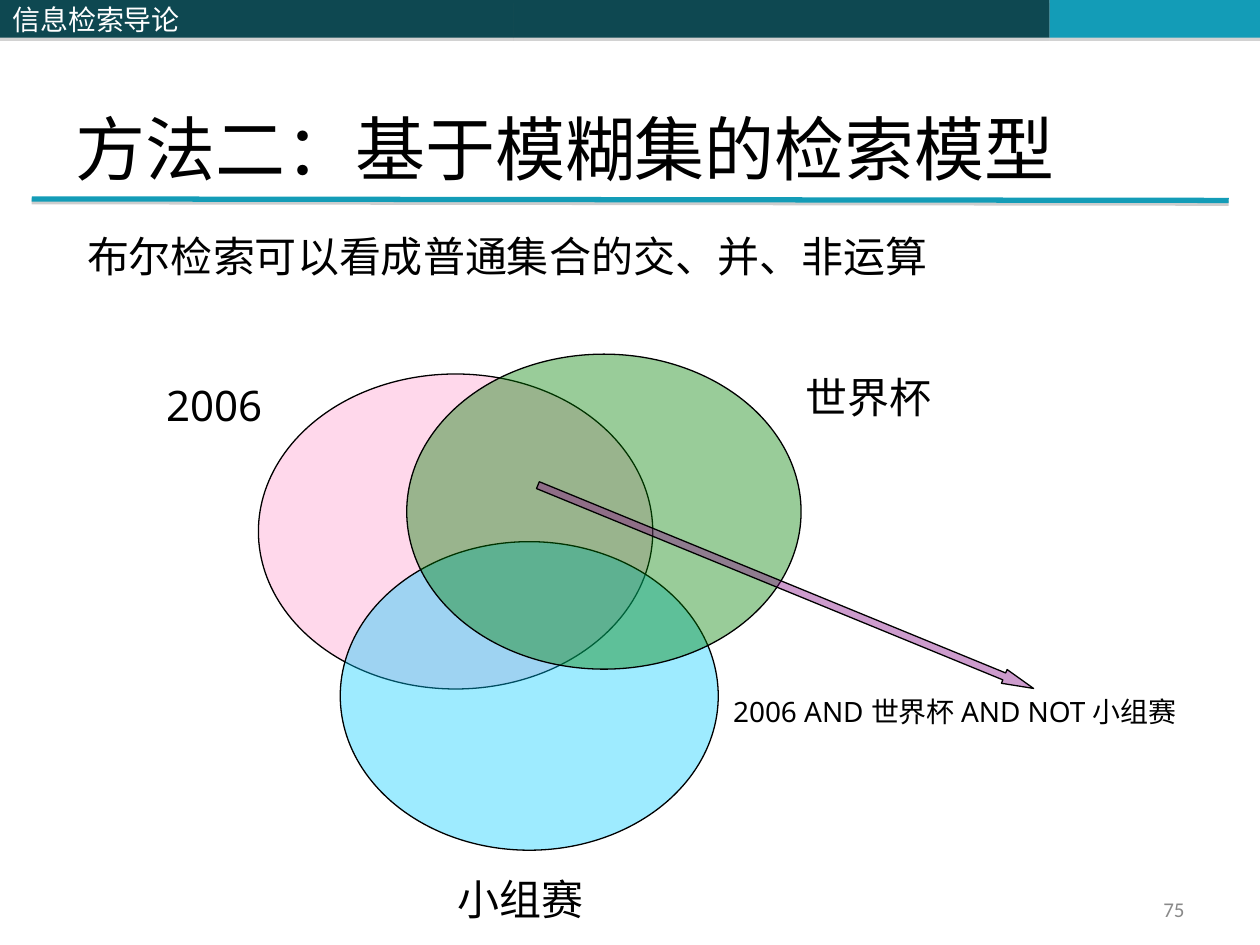
from dataclasses import dataclass

from lxml.etree import SubElement
from pptx import Presentation
from pptx.dml.color import RGBColor
from pptx.enum.shapes import MSO_CONNECTOR as Connector, MSO_SHAPE as Shape
from pptx.enum.text import MSO_ANCHOR as Anchor, MSO_AUTO_SIZE as AutoSize, PP_ALIGN as Align
from pptx.oxml.ns import qn
from pptx.util import Cm, Pt


@dataclass(frozen=True)
class Theme:
    dark: str = "0E4851"
    accent: str = "139CB7"
    shadow: str = "808080"
    ink: str = "000000"
    paper: str = "FFFFFF"
    muted: str = "898989"
    pink: str = "FF99CC"
    blue: str = "00CCFF"
    green: str = "008000"
    purple: str = "800080"
    font: str = "Noto Sans"
    chinese_font: str = "Noto Sans CJK SC"
    title_font: str = "Times New Roman"
    number_font: str = "Calibri"
    title_size: int = 40
    body_size: int = 24
    small_size: int = 16
    number_size: int = 12


THEME = Theme()


@dataclass(frozen=True)
class Box:
    left: float
    top: float
    width: float
    height: float

    def inner(self, left, top, width, height):
        return Box(self.left + left, self.top + top, width, height)

    def lengths(self):
        return Cm(self.left), Cm(self.top), Cm(self.width), Cm(self.height)


def place(shape, box):
    shape.left, shape.top, shape.width, shape.height = box.lengths()


def write(shape, text, size, color=THEME.ink, font=THEME.font, align=Align.LEFT, anchor=Anchor.TOP):
    frame = shape.text_frame
    frame.text = text
    frame.word_wrap = True
    frame.auto_size = AutoSize.NONE
    frame.vertical_anchor = anchor
    paragraph = frame.paragraphs[0]
    paragraph.alignment = align
    run = paragraph.runs[0]
    run.font.size = Pt(size)
    run.font.name = font
    run.font.color.rgb = RGBColor.from_string(color)
    SubElement(run.font._element, qn("a:ea"), typeface=THEME.chinese_font)
    return paragraph


def add_text(slide, box, text, size, **style):
    write(slide.shapes.add_textbox(*box.lengths()), text, size, **style)


def add_filled(slide, kind, box, color, opacity=100, outlined=False):
    shape = slide.shapes.add_shape(kind, *box.lengths())
    shape.shadow.inherit = False
    shape.fill.solid()
    shape.fill.fore_color.rgb = RGBColor.from_string(color)
    if opacity < 100:
        fill_color = shape._element.spPr.find(qn("a:solidFill"))[0]
        SubElement(fill_color, qn("a:alpha"), val=str(opacity * 1000))
    if outlined:
        shape.line.color.rgb = RGBColor.from_string(THEME.ink)
        shape.line.width = Pt(0.75)
    else:
        shape.line.fill.background()
    return shape


def cast_shadow(shape, opacity, distance):
    properties = shape._element.spPr
    effects = properties.find(qn("a:effectLst"))
    if effects is None:
        effects = SubElement(properties, qn("a:effectLst"))
    shadow = SubElement(effects, qn("a:outerShdw"), dist=str(Pt(distance)),
                        dir="5400000", rotWithShape="0")
    color = SubElement(shadow, qn("a:srgbClr"), val=THEME.shadow)
    SubElement(color, qn("a:alpha"), val=str(opacity * 1000))


def add_header(slide, box):
    left = 0
    bars = []
    for width, color in ((10.36, THEME.dark), (10.8, THEME.dark), (4.24, THEME.accent)):
        bar = add_filled(slide, Shape.RECTANGLE, box.inner(left, 0, width, box.height), color)
        cast_shadow(bar, 35, 1.8)
        bars.append(bar)
        left += width
    write(bars[0], "信息检索导论", THEME.small_size, color=THEME.paper,
          font=THEME.chinese_font, anchor=Anchor.MIDDLE)


def add_title(slide, box):
    title = slide.shapes.title
    place(title, box)
    write(title, "方法二：基于模糊集的检索模型", THEME.title_size,
          font=THEME.title_font, anchor=Anchor.BOTTOM)


def add_rule(slide, box):
    rule = slide.shapes.add_connector(
        Connector.STRAIGHT, Cm(box.left), Cm(box.top),
        Cm(box.left + box.width), Cm(box.top + box.height))
    rule.line.color.rgb = RGBColor.from_string(THEME.accent)
    rule.line.width = Pt(3)
    cast_shadow(rule, 38, 1.6)


def add_body(slide, box):
    body = slide.placeholders[1]
    place(body, box)
    paragraph = write(body, "布尔检索可以看成普通集合的交、并、非运算", THEME.body_size)
    paragraph.space_before = Pt(0)
    properties = paragraph._p.get_or_add_pPr()
    properties.set("marL", "0")
    properties.set("indent", "0")
    SubElement(properties, qn("a:buNone"))


def add_venn(slide, box):
    sets = (
        ((2.11, 0.4, 7.95, 6.35), THEME.pink, 38),
        ((3.76, 3.78, 7.62, 6.22), THEME.blue, 38),
        ((5.1, 0, 7.95, 6.35), THEME.green, 40),
    )
    for area, color, opacity in sets:
        add_filled(slide, Shape.OVAL, box.inner(*area), color, opacity, outlined=True)

    arrow = add_filled(slide, Shape.RIGHT_ARROW, box.inner(7.34, 4.54, 10.8, 0.3),
                       THEME.purple, 39, outlined=True)
    arrow.adjustments[0] = 0.5
    arrow.adjustments[1] = 2.13
    arrow.rotation = 22.3

    labels = (
        ((0, 0.38, 3.2, 1.27), "2006", THEME.body_size),
        ((12.88, 0.23, 4.19, 1.27), "世界杯", THEME.body_size),
        ((5.87, 10.34, 4.19, 1.27), "小组赛", THEME.body_size),
        ((11.43, 6.73, 10.29, 0.94), "2006 AND 世界杯 AND NOT 小组赛", THEME.small_size),
    )
    for area, text, size in labels:
        add_text(slide, box.inner(*area), text, size)


def add_page_number(slide, box):
    add_text(slide, box, "75", THEME.number_size, color=THEME.muted,
             font=THEME.number_font, align=Align.RIGHT, anchor=Anchor.MIDDLE)


def main():
    presentation = Presentation()
    presentation.slide_width, presentation.slide_height = Cm(25.4), Cm(19.05)
    slide = presentation.slides.add_slide(presentation.slide_layouts[1])
    add_header(slide, Box(0, 0, 25.4, 0.76))
    add_rule(slide, Box(0.64, 4.01, 24.13, 0.03))
    add_title(slide, Box(1.27, 0.76, 22.86, 3.18))
    add_body(slide, Box(1.5, 4.52, 22.2, 1.27))
    add_venn(slide, Box(3.1, 7.14, 21.72, 11.61))
    add_page_number(slide, Box(18.21, 17.98, 5.92, 0.69))
    presentation.save("out.pptx")


if __name__ == "__main__":
    main()
